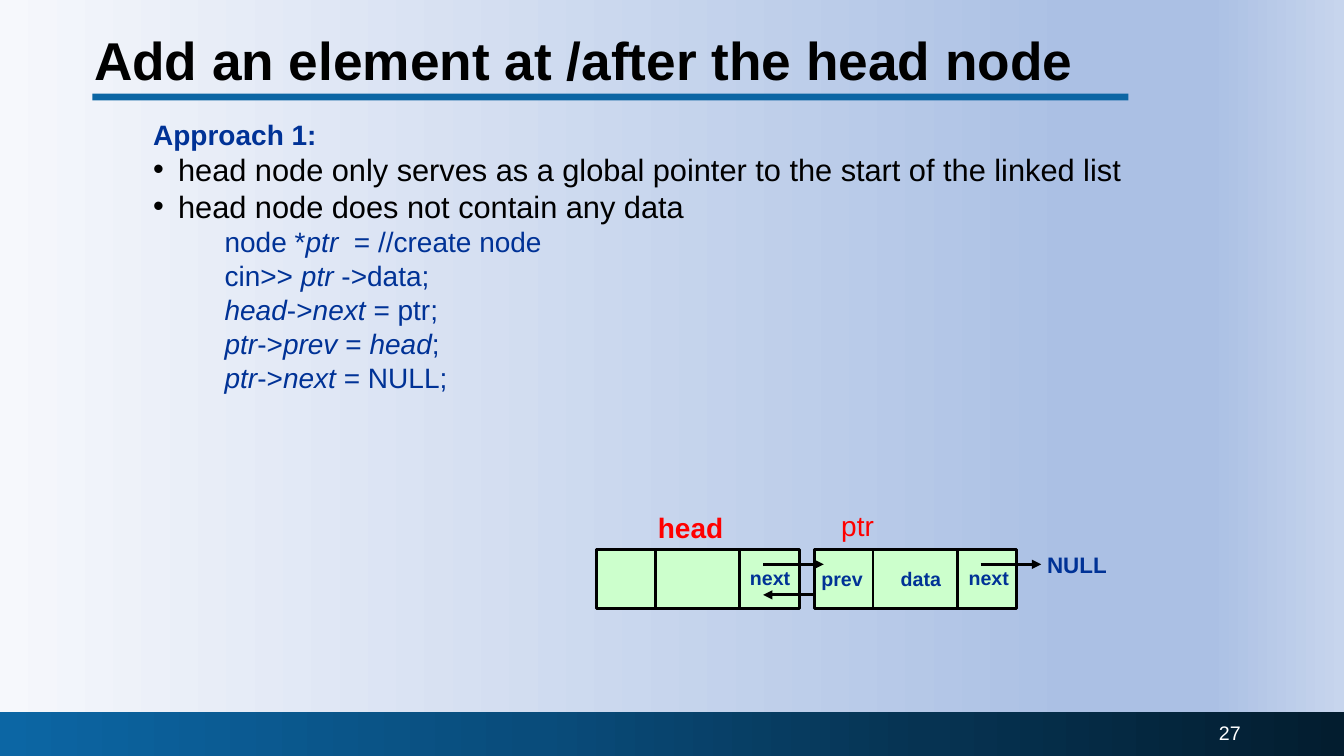
import pptx
import pptx.dml.color
import pptx.enum.shapes
import pptx.enum.text
import pptx.oxml
import pptx.oxml.ns
import pptx.util
from lxml import etree

Cm = pptx.util.Cm
Pt = pptx.util.Pt
RGBColor = pptx.dml.color.RGBColor
qn = pptx.oxml.ns.qn
ANCHOR = pptx.enum.text.MSO_ANCHOR
ALIGN = pptx.enum.text.PP_ALIGN

BLACK = RGBColor(0x00, 0x00, 0x00)
WHITE = RGBColor(0xFF, 0xFF, 0xFF)
NAVY = RGBColor(0x00, 0x32, 0x96)
RED = RGBColor(0xFF, 0x00, 0x00)
BLUE = RGBColor(0x0C, 0x66, 0xA4)
GREEN = RGBColor(0xCC, 0xFF, 0xCC)

BACKGROUND_STOPS = [(0, "F6F8FC"), (80, "ABC0E4"), (90, "ABC0E4"), (100, "C7D5ED")]
FOOTER_STOPS = [(0, "0C66A4"), (40, "094C7B"), (69, "063352"), (100, "031D2F")]

TITLE = "Add an element at /after the head node"
HEADING = "Approach 1:"
BULLETS = [
    "head node only serves as a global pointer to the start of the linked list",
    "head node does not contain any data",
]
CODE = [
    [("node *", False), ("ptr", True), ("  = //create node", False)],
    [("cin>> ", False), ("ptr", True), (" ->data;", False)],
    [("head", True), ("->", False), ("next ", True), ("= ptr;", False)],
    [("ptr", True), ("->", False), ("prev ", True), ("= ", False), ("head", True), (";", False)],
    [("ptr", True), ("->", False), ("next ", True), ("= NULL;", False)],
]
PAGE_NUMBER = "27"

NODE_LEFTS = [15.04, 20.52]
NODE_TOP, NODE_WIDTH, NODE_HEIGHT = 13.84, 5.1, 1.49
DIVIDER_OFFSETS = [1.48, 3.6]
ARROW_OFFSET, ARROW_LENGTH = 4.19, 1.53
NEXT_ARROW_TOP, PREV_ARROW_TOP = 14.22, 14.99

LABELS = [
    ("head", 16.33, 12.75, 2.4, 20, RED, True),
    ("ptr", 20.95, 12.7, 1.8, 20, RED, False),
    ("next", 18.65, 14.13, 1.8, 14, NAVY, True),
    ("prev", 20.45, 14.17, 1.8, 14, NAVY, True),
    ("data", 22.45, 14.17, 1.8, 14, NAVY, True),
    ("next", 24.16, 14.13, 1.8, 14, NAVY, True),
    ("NULL", 26.14, 13.77, 2.3, 16, NAVY, True),
]


def set_gradient(fill, element, stops):
    fill.gradient()
    fill.gradient_angle = 0
    stop_list = element.find(".//" + qn("a:gsLst"))
    for old_stop in list(stop_list):
        stop_list.remove(old_stop)
    for position, color in stops:
        stop = etree.SubElement(stop_list, qn("a:gs"), pos=str(position * 1000))
        etree.SubElement(stop, qn("a:srgbClr"), val=color)


def add_rectangle(slide, left, top, width, height):
    shape = slide.shapes.add_shape(
        pptx.enum.shapes.MSO_SHAPE.RECTANGLE, Cm(left), Cm(top), Cm(width), Cm(height))
    shape.shadow.inherit = False
    shape.line.fill.background()
    return shape


def add_line(slide, start, end, width, arrow=False):
    connector = slide.shapes.add_connector(
        pptx.enum.shapes.MSO_CONNECTOR.STRAIGHT, *(Cm(value) for value in start + end))
    connector.line.color.rgb = BLACK
    connector.line.width = Pt(width)
    if arrow:
        line = connector.element.spPr.find(qn("a:ln"))
        etree.SubElement(line, qn("a:tailEnd"), type="triangle")
    etree.SubElement(connector.element.spPr, qn("a:effectLst"))


def add_text_frame(slide, left, top, width, height, wrap=True, anchor=ANCHOR.TOP):
    frame = slide.shapes.add_textbox(Cm(left), Cm(top), Cm(width), Cm(height)).text_frame
    frame.word_wrap = wrap
    frame.vertical_anchor = anchor
    return frame


def set_font(paragraph, size, color, bold=False):
    font = paragraph.font
    font.name = "Arial"
    font.size = Pt(size)
    font.color.rgb = color
    font.bold = bold


def set_indent(paragraph, margin, indent=0, bullet=None):
    properties = paragraph._p.get_or_add_pPr()
    properties.set("marL", str(Cm(margin)))
    properties.set("indent", str(Cm(indent)))
    if bullet:
        etree.SubElement(properties, qn("a:buFont"), typeface="Arial")
        etree.SubElement(properties, qn("a:buChar"), char=bullet)


def add_body(slide):
    frame = add_text_frame(slide, 2.34, 3, 29.21, 14.33)
    lines = [([(HEADING, False)], 20, NAVY, True, 1.27, 0, None)]
    lines += [([(text, False)], 22, BLACK, False, 1.9, -0.63, "•") for text in BULLETS]
    lines += [(runs, 20, NAVY, False, 3.07, 0, None) for runs in CODE]
    for index, (runs, size, color, bold, margin, indent, bullet) in enumerate(lines):
        paragraph = frame.add_paragraph() if index else frame.paragraphs[0]
        paragraph.line_spacing = 0.8
        paragraph.space_before = Pt(5)
        set_indent(paragraph, margin, indent, bullet)
        set_font(paragraph, size, color, bold)
        for text, italic in runs:
            run = paragraph.add_run()
            run.text = text
            if italic:
                run.font.italic = True


def add_node(slide, left):
    node = add_rectangle(slide, left, NODE_TOP, NODE_WIDTH, NODE_HEIGHT)
    node.fill.solid()
    node.fill.fore_color.rgb = GREEN
    node.line.color.rgb = BLACK
    node.line.width = Pt(2)
    for offset in DIVIDER_OFFSETS:
        x = left + offset
        add_line(slide, (x, NODE_TOP + NODE_HEIGHT), (x, NODE_TOP), 2)


def add_linked_list(slide):
    head_left, ptr_left = NODE_LEFTS
    arrow_left = head_left + ARROW_OFFSET
    add_node(slide, head_left)
    add_line(slide, (arrow_left + ARROW_LENGTH, PREV_ARROW_TOP),
             (arrow_left, PREV_ARROW_TOP), 2.25, True)
    add_node(slide, ptr_left)
    for left in NODE_LEFTS:
        start = left + ARROW_OFFSET
        add_line(slide, (start, NEXT_ARROW_TOP),
                 (start + ARROW_LENGTH, NEXT_ARROW_TOP), 2.25, True)
    for text, left, top, width, size, color, bold in LABELS:
        frame = add_text_frame(slide, left, top, width, 0.25 + size * 0.042)
        frame.text = text
        set_font(frame.paragraphs[0], size, color, bold)


def main():
    presentation = pptx.Presentation()
    presentation.slide_width = Cm(33.87)
    presentation.slide_height = Cm(19.05)
    slide = presentation.slides.add_slide(presentation.slide_layouts[6])
    set_gradient(slide.background.fill, slide.element, BACKGROUND_STOPS)

    footer = add_rectangle(slide, 0, 17.93, 33.87, 1.12)
    set_gradient(footer.fill, footer.element, FOOTER_STOPS)
    title_rule = add_rectangle(slide, 2.33, 2.36, 26.11, 0.17)
    title_rule.fill.solid()
    title_rule.fill.fore_color.rgb = BLUE

    title = add_text_frame(slide, 2.12, 0.25, 28.78, 2.67, anchor=ANCHOR.MIDDLE)
    title.text = TITLE
    title.paragraphs[0].line_spacing = 0.9
    set_font(title.paragraphs[0], 38, BLACK, True)

    add_body(slide)
    add_linked_list(slide)

    number = add_text_frame(slide, 23.9, 17.96, 7.62, 1.02, anchor=ANCHOR.MIDDLE)
    number.text = PAGE_NUMBER
    number.paragraphs[0].alignment = ALIGN.RIGHT
    set_font(number.paragraphs[0], 14, WHITE)
    presentation.save("out.pptx")


if __name__ == "__main__":
    main()
